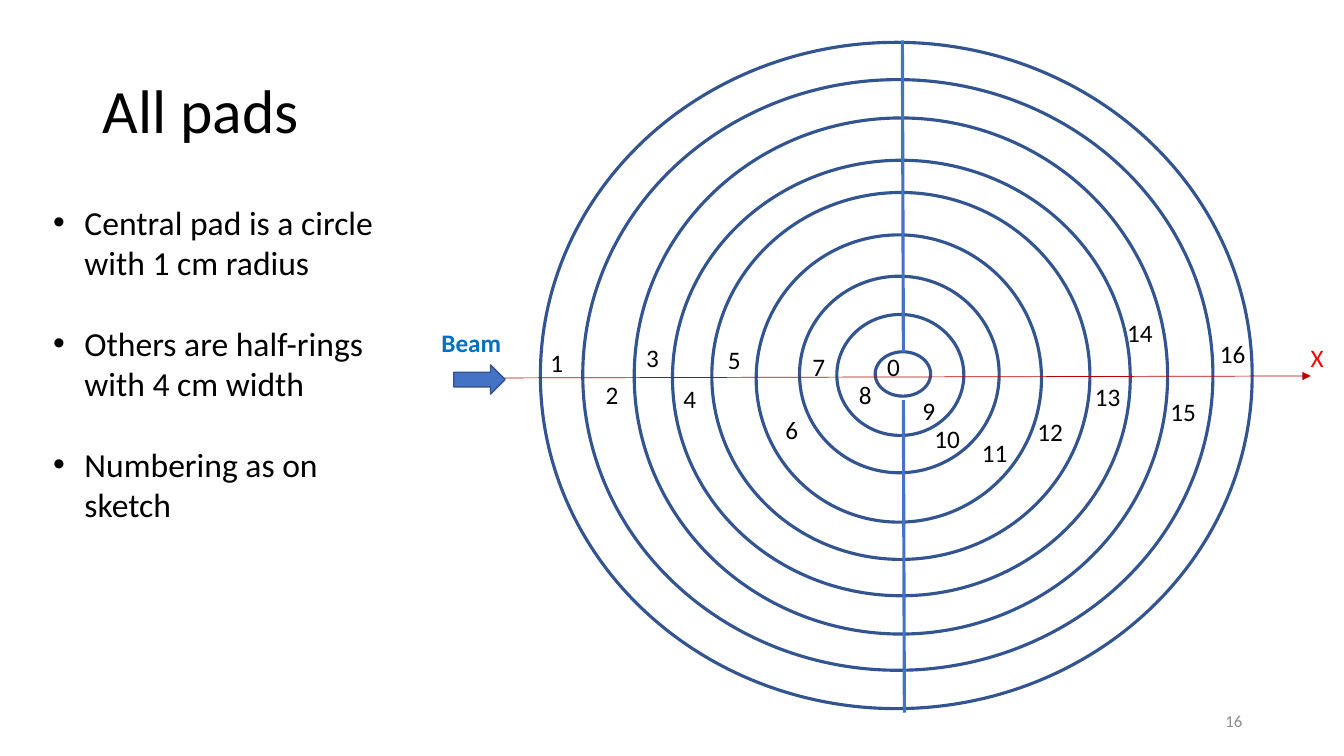
from lxml.etree import SubElement
from pptx import Presentation
from pptx.dml.color import RGBColor
from pptx.enum.shapes import MSO_CONNECTOR as Connector, MSO_SHAPE as Shape
from pptx.enum.text import MSO_ANCHOR as Anchor, MSO_AUTO_SIZE as AutoSize, PP_ALIGN as Align
from pptx.oxml.ns import qn
from pptx.util import Pt

PX = 9144
COLORS = {
    "black": "000000",
    "gray": "8C8C8C",
    "outline": "325491",
    "blue": "4472C4",
    "beam": "0070C0",
    "axis": "C00000",
    "red": "FF0000",
}
RINGS = [
    (536, 42, 706, 661),
    (578, 79, 625, 586),
    (629, 117, 529, 512),
    (667, 159, 454, 432),
    (706, 191, 375, 364),
    (750, 233, 283, 285),
    (793, 274, 198, 195),
    (830, 312, 126, 120),
    (868, 349, 55, 44),
]
PAD_LABELS = [
    (870, 344), (536, 340), (591, 371), (631, 335), (668, 375), (712, 337),
    (769, 406), (796, 344), (842, 371), (905, 387), (917, 415), (964, 429),
    (1019, 408), (1076, 373), (1108, 310), (1151, 388), (1200, 331),
]
LINES = [
    (896, 349, 895, 40, "blue", 2.25),
    (897, 707, 896, 397, "blue", 2.25),
    (476, 375, 1300, 373, "axis", 0.5),
]
NOTES = [
    "Central pad is a circle with 1 cm radius",
    "Others are half-rings with 4 cm width",
    "Numbering as on sketch",
]


def rgb(name):
    return RGBColor.from_string(COLORS[name])


def write(text, box, size=18, color="black", bold=False, align=Align.LEFT,
          anchor=Anchor.TOP, wrap=False, fit=AutoSize.SHAPE_TO_FIT_TEXT):
    if isinstance(box, tuple):
        box = page.shapes.add_textbox(*[n * PX for n in box])
    frame = box.text_frame
    frame.text = text
    frame.word_wrap = wrap
    frame.auto_size = fit
    frame.vertical_anchor = anchor
    for para in frame.paragraphs:
        para.alignment = align
        font = para.runs[0].font
        font.name = "Calibri"
        font.size = Pt(size)
        font.bold = bold
        font.color.rgb = rgb(color)
    return box


deck = Presentation()
deck.slide_width = 1333 * PX
deck.slide_height = 750 * PX
page = deck.slides.add_slide(deck.slide_layouts[5])

title = page.shapes.title
title.left, title.top, title.width, title.height = [n * PX for n in (92, 40, 1150, 145)]
write("All pads", title, size=44, anchor=Anchor.MIDDLE, wrap=True, fit=AutoSize.NONE)
title.text_frame.paragraphs[0].line_spacing = 0.9

write("16", (942, 695, 300, 40), size=12, color="gray", align=Align.RIGHT,
      anchor=Anchor.MIDDLE, wrap=True, fit=AutoSize.NONE)

for bounds in RINGS:
    ring = page.shapes.add_shape(Shape.OVAL, *[n * PX for n in bounds])
    ring.shadow.inherit = False
    ring.fill.background()
    ring.line.color.rgb = rgb("outline")
    ring.line.width = Pt(2.25)

for *ends, color, weight in LINES:
    line = page.shapes.add_connector(Connector.STRAIGHT, *[n * PX for n in ends])
    line.line.color.rgb = rgb(color)
    line.line.width = Pt(weight)
    SubElement(line._element.spPr, qn("a:effectLst"))
    if color == "axis":
        SubElement(line.line._get_or_add_ln(), qn("a:tailEnd"), type="triangle")

for number, (left, top) in enumerate(PAD_LABELS):
    write(str(number), (left, top, 33 if number < 10 else 46, 40))

notes = write("\n".join(NOTES), (43, 195, 347, 333), size=24, wrap=True)
for index, para in enumerate(notes.text_frame.paragraphs):
    if index:
        para.space_before = Pt(29)
    props = para._p.get_or_add_pPr()
    props.set("marL", str(31 * PX))
    props.set("indent", str(-31 * PX))
    SubElement(props, qn("a:buFont"), typeface="Arial")
    SubElement(props, qn("a:buChar"), char="•")

write("X", (1290, 335, 33, 40), color="red")

arrow = page.shapes.add_shape(Shape.RIGHT_ARROW, *[n * PX for n in (450, 362, 51, 29)])
arrow.shadow.inherit = False
arrow.fill.solid()
arrow.fill.fore_color.rgb = rgb("blue")
arrow.line.color.rgb = rgb("outline")
arrow.line.width = Pt(1)
write("Beam", (428, 320, 80, 40), color="beam", bold=True)

deck.save("out.pptx")
